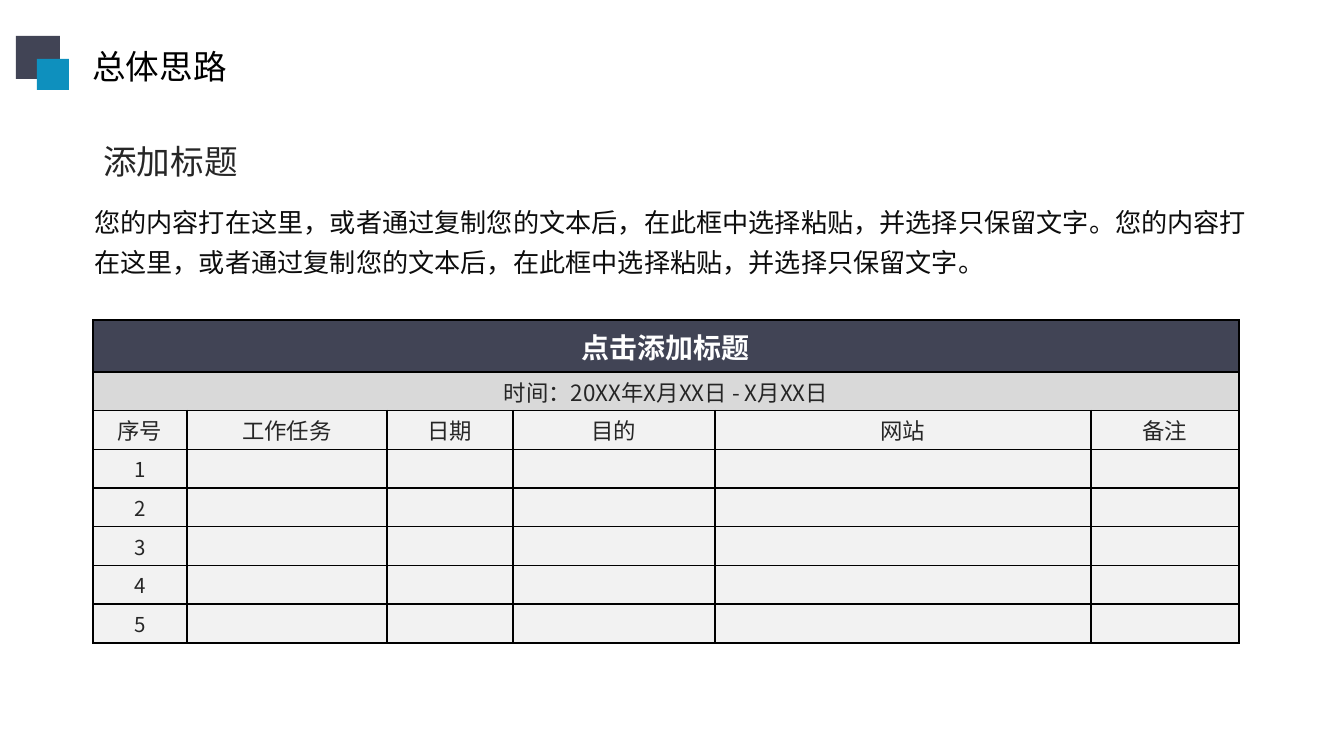
from lxml import etree
from pptx import Presentation
from pptx.dml.color import RGBColor
from pptx.enum.shapes import MSO_SHAPE
from pptx.enum.text import MSO_ANCHOR, MSO_AUTO_SIZE, PP_ALIGN
from pptx.oxml.ns import qn
from pptx.util import Emu, Pt

RECTANGLE = MSO_SHAPE.RECTANGLE
MIDDLE = MSO_ANCHOR.MIDDLE
CENTER = PP_ALIGN.CENTER
FIT_SHAPE = MSO_AUTO_SIZE.SHAPE_TO_FIT_TEXT

BLACK = RGBColor(0x00, 0x00, 0x00)
INK = RGBColor(0x0D, 0x0D, 0x0D)
CHARCOAL = RGBColor(0x26, 0x26, 0x26)
NAVY = RGBColor(0x41, 0x44, 0x55)
BLUE = RGBColor(0x0E, 0x90, 0xBE)
WHITE = RGBColor(0xFF, 0xFF, 0xFF)
GRAY = RGBColor(0xD9, 0xD9, 0xD9)
PALE = RGBColor(0xF2, 0xF2, 0xF2)

FONT = "Noto Sans CJK SC"
PX_PER_INCH = 134.4

# Content: lengths in px
SQUARES = [((16, 36, 44, 43), NAVY), ((37, 59, 32, 31), BLUE)]

# text, (left, top, width, height), size, colour, wrap, line spacing
TEXTS = [
    ("总体思路", (79, 39, 163, 54), 18, BLACK, False, None),
    ("添加标题", (90, 134, 163, 54), 18, CHARCOAL, False, None),
    ("您的内容打在这里，或者通过复制您的文本后，在此框中选择粘贴，并选择只保留文字。"
     "您的内容打在这里，或者通过复制您的文本后，在此框中选择粘贴，并选择只保留文字。",
     (81, 190, 1181, 91), 14, INK, True, 1.3),
]

TABLE_LEFT, TABLE_TOP, TABLE_HEIGHT = 93, 320, 323
TITLE_HEIGHT = 52
COLUMN_WIDTHS = [94, 200, 126, 202, 376, 148]
HEADINGS = ["序号", "工作任务", "日期", "目的", "网站", "备注"]
ENTRY_COUNT = 5

# cell texts, fill, size, colour, bold
ROWS = [
    (["点击添加标题"], NAVY, 15, WHITE, True),
    (["时间：20XX年X月XX日 - X月XX日"], GRAY, 12, CHARCOAL, False),
    (HEADINGS, PALE, 12, CHARCOAL, False),
]
ROWS += [([str(n)], PALE, 11, CHARCOAL, False) for n in range(1, ENTRY_COUNT + 1)]
MERGED_ROWS = 2


def px(length):
    return Emu(round(length * 914400 / PX_PER_INCH))


def style_span(span, size, color, bold=False):
    font = span.font
    font.name, font.size, font.bold = FONT, Pt(size), bold
    font.color.rgb = color
    east_asian = etree.SubElement(span._r.get_or_add_rPr(), qn("a:ea"))
    east_asian.set("typeface", FONT)


def add_borders(cell):
    properties = cell._tc.get_or_add_tcPr()
    for position, side in enumerate(("lnL", "lnR", "lnT", "lnB")):
        line = etree.Element(qn(f"a:{side}"), w=str(Pt(1)))
        fill = etree.SubElement(line, qn("a:solidFill"))
        etree.SubElement(fill, qn("a:srgbClr"), val=str(BLACK))
        properties.insert(position, line)


def fill_cell(cell, text, fill, size, color, bold):
    cell.fill.solid()
    cell.fill.fore_color.rgb = fill
    add_borders(cell)
    cell.margin_left = cell.margin_right = px(1)
    cell.margin_top = cell.margin_bottom = 0
    cell.vertical_anchor = MIDDLE
    para = cell.text_frame.paragraphs[0]
    para.alignment = CENTER
    if text:
        para.text = text
        style_span(para.runs[0], size, color, bold)
    else:
        # Small end mark keeps an empty row from growing
        etree.SubElement(para._p, qn("a:endParaRPr"), sz=str(size * 100))


deck = Presentation()
deck.slide_width, deck.slide_height = px(1344), px(756)
page = deck.slides.add_slide(deck.slide_layouts[6])

# Corner squares
for bounds, color in SQUARES:
    square = page.shapes.add_shape(RECTANGLE, *map(px, bounds))
    square.shadow.inherit = False
    square.fill.solid()
    square.fill.fore_color.rgb = color
    square.line.fill.background()

# Headings and body text
for text, bounds, size, color, wrap, spacing in TEXTS:
    frame = page.shapes.add_textbox(*map(px, bounds)).text_frame
    frame.word_wrap = wrap
    frame.auto_size = FIT_SHAPE
    para = frame.paragraphs[0]
    para.text = text
    para.line_spacing = spacing
    style_span(para.runs[0], size, color)

# Schedule table
table = page.shapes.add_table(
    len(ROWS), len(COLUMN_WIDTHS), px(TABLE_LEFT), px(TABLE_TOP),
    px(sum(COLUMN_WIDTHS)), px(TABLE_HEIGHT)).table
table.first_row = table.horz_banding = False
for column, width in zip(table.columns, COLUMN_WIDTHS):
    column.width = px(width)

row_height = (TABLE_HEIGHT - TITLE_HEIGHT) / (len(ROWS) - 1)
for r, (texts, *style) in enumerate(ROWS):
    table.rows[r].height = px(row_height if r else TITLE_HEIGHT)
    for c in range(len(COLUMN_WIDTHS)):
        fill_cell(table.cell(r, c), texts[c] if c < len(texts) else "", *style)
    if r < MERGED_ROWS:
        table.cell(r, 0).merge(table.cell(r, len(COLUMN_WIDTHS) - 1))

deck.save("out.pptx")
